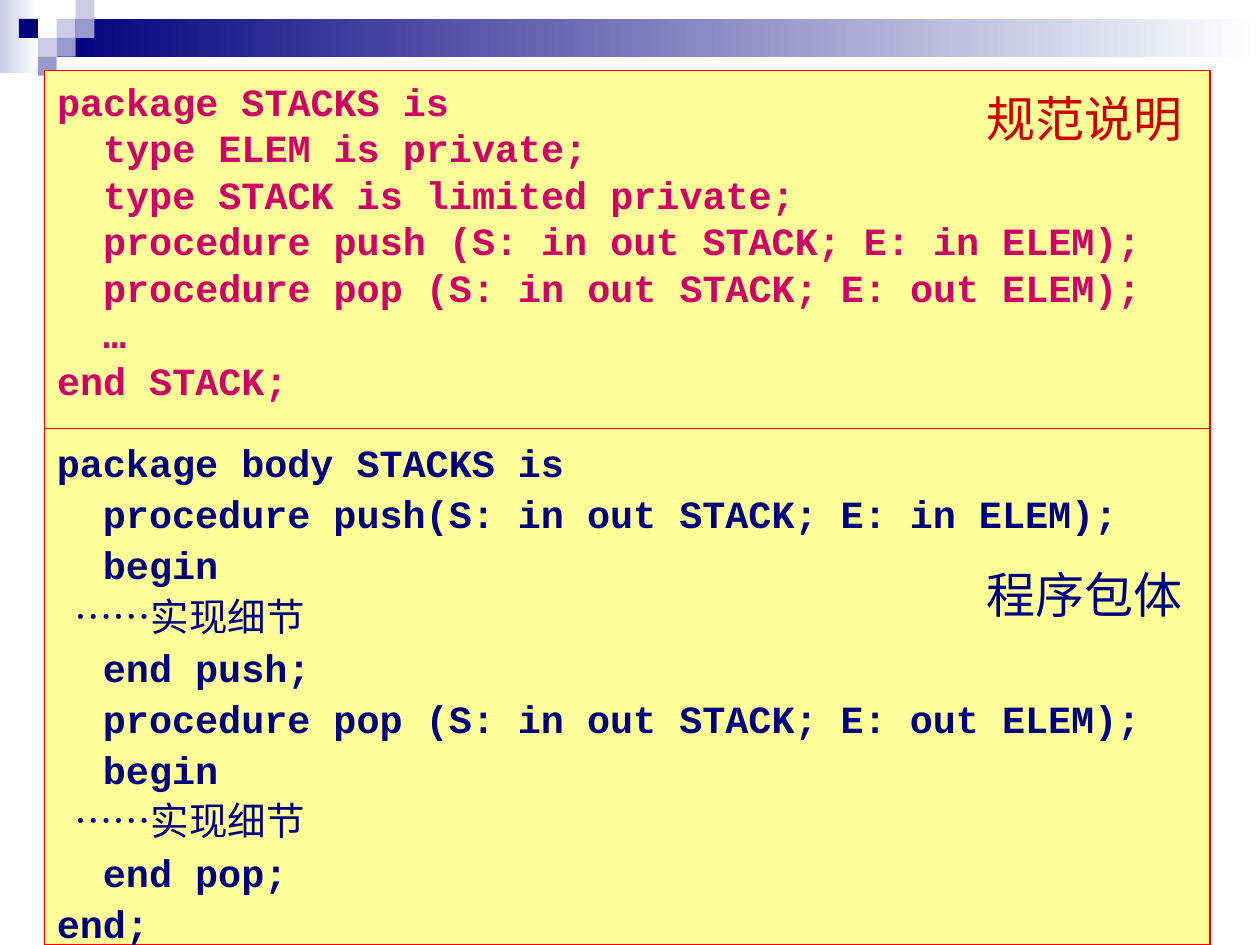
from pptx import Presentation
from pptx.dml.color import RGBColor
from pptx.enum.lang import MSO_LANGUAGE_ID as Language
from pptx.enum.shapes import MSO_SHAPE as Shape
from pptx.enum.text import MSO_ANCHOR as Anchor, MSO_AUTO_SIZE as AutoSize, PP_ALIGN as Align
from pptx.oxml.ns import qn
from pptx.util import Pt

NAVY, LILAC, PALE = "00007D", "9999CC", "CCCCE6"
MAGENTA, RED, CRIMSON = "CC0066", "FF0000", "CC0000"
YELLOW, WHITE = "FFFF99", "FFFFFF"
UNIT = 10.8  # side of one corner square

SPECIFICATION = """package STACKS is
  type ELEM is private;
  type STACK is limited private;
  procedure push (S: in out STACK; E: in ELEM);
  procedure pop (S: in out STACK; E: out ELEM);
  …
end STACK;"""

PACKAGE_BODY = """package body STACKS is
  procedure push(S: in out STACK; E: in ELEM);
  begin
  ……实现细节
  end push;
  procedure pop (S: in out STACK; E: out ELEM);
  begin
  ……实现细节
  end pop;
end;"""


def color(value):
    return RGBColor.from_string(value)


def write(para, text, font="Arial", size=28, ink=NAVY, bold=False, chinese=False):
    span = para.add_run()
    span.text = text
    span.font.name, span.font.size, span.font.bold = font, Pt(size), bold
    span.font.color.rgb = color(ink)
    if chinese:
        span.font.language_id = Language.SIMPLIFIED_CHINESE


class SlideBuilder:
    code_font, code_size = "Courier New", 22
    space_before, indent = 5.5, 27

    def __init__(self, deck):
        self.page = deck.slides.add_slide(deck.slide_layouts[1])
        self.page.shapes.title.element.getparent().remove(self.page.shapes.title.element)
        self.body = self.page.placeholders[1]

    def rectangle(self, left, top, width, height, fill, fade_to=None):
        box = self.page.shapes.add_shape(
            Shape.RECTANGLE, Pt(left), Pt(top), Pt(width), Pt(height))
        box.shadow.inherit = False
        box.line.fill.background()
        if fade_to:
            box.fill.gradient()
            box.fill.gradient_angle = 0
            for stop, value in zip(box.fill.gradient_stops, (fill, fade_to)):
                stop.color.rgb = color(value)
        else:
            box.fill.solid()
            box.fill.fore_color.rgb = color(fill)
        return box

    def body_panel(self, left, top, width, height):
        box = self.body
        box.left, box.top, box.width, box.height = map(Pt, (left, top, width, height))
        box.fill.solid()
        box.fill.fore_color.rgb = color(YELLOW)
        box.element.getparent().append(box.element)  # above the corner squares
        return box

    def code(self, box, listing, ink, spacing):
        box.line.color.rgb = color(RED)
        box.line.width = Pt(0.75)
        frame = box.text_frame
        frame.word_wrap, frame.auto_size = True, AutoSize.NONE
        frame.vertical_anchor = Anchor.TOP
        frame.margin_left = frame.margin_right = Pt(7.2)
        frame.margin_top, frame.margin_bottom = Pt(3.6 + self.space_before), Pt(3.6)
        for number, line in enumerate(listing.split("\n")):
            para = frame.add_paragraph() if number else frame.paragraphs[0]
            para.alignment, para.line_spacing = Align.JUSTIFY, spacing
            para.space_before = Pt(self.space_before if number else 0)
            properties = para._p.get_or_add_pPr()
            properties.set("marL", str(Pt(self.indent)))
            properties.set("indent", str(-Pt(self.indent)))
            properties.append(properties.makeelement(qn("a:buNone"), {}))
            chinese = "实现" in line
            write(para, line, font=self.code_font, size=self.code_size,
                  ink=ink, bold=not chinese, chinese=chinese)

    def label(self, left, top, text, ink):
        box = self.page.shapes.add_textbox(Pt(left), Pt(top), Pt(126), Pt(41))
        box.text_frame.word_wrap = False
        box.text_frame.auto_size = AutoSize.SHAPE_TO_FIT_TEXT
        write(box.text_frame.paragraphs[0], text, ink=ink, chinese=True)


def main():
    deck = Presentation()
    deck.slide_width, deck.slide_height = Pt(720), Pt(540)
    slide = SlideBuilder(deck)

    # Banner and corner squares
    slide.rectangle(0, 0, 22, 42, PALE, fade_to=WHITE)
    slide.rectangle(3 * UNIT, UNIT, 720 - 3 * UNIT, 2 * UNIT, NAVY, fade_to=WHITE)
    squares = [(3, 1, PALE), (4, 0, PALE), (4, 1, LILAC), (2, 2, PALE),
               (1, 1, NAVY), (3, 2, LILAC), (2, 3, LILAC)]
    for column, row, fill in squares:
        slide.rectangle(column * UNIT, row * UNIT, UNIT, UNIT, fill)

    # Code panels
    left, width, split = 25.4, 666, 244.8
    upper = slide.body_panel(left, 40.3, width, split - 40.3)
    slide.code(upper, SPECIFICATION, MAGENTA, 0.8)
    lower = slide.rectangle(left, split, width, 540 - split, YELLOW)
    slide.code(lower, PACKAGE_BODY, NAVY, 0.9)

    # Panel labels
    slide.label(556.6, 46.8, "规范说明", CRIMSON)
    slide.label(556.6, 319, "程序包体", NAVY)

    deck.save("out.pptx")


if __name__ == "__main__":
    main()
